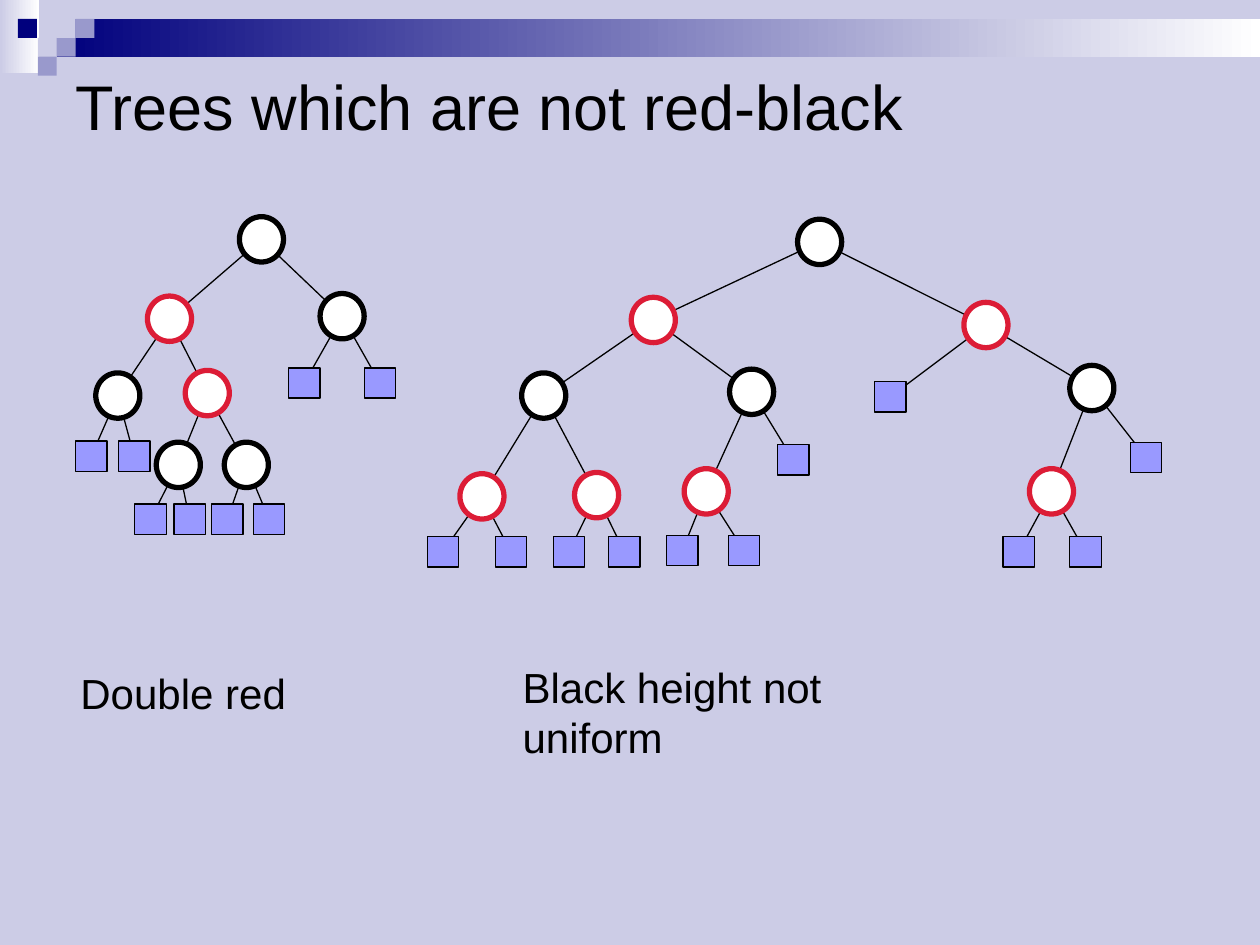
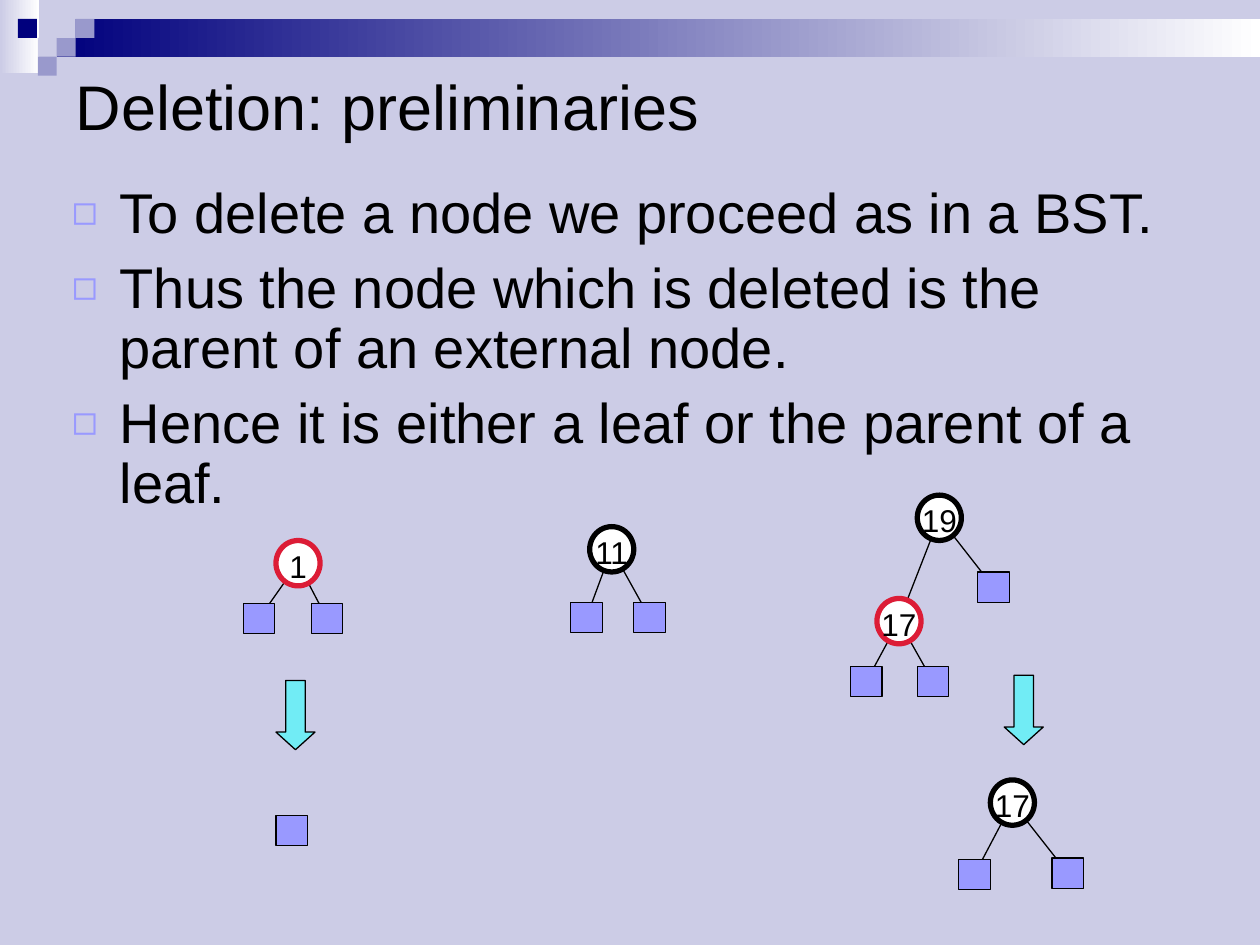
from dataclasses import dataclass
from lxml import etree
from pptx import Presentation
from pptx import util as u
from pptx.dml import color
from pptx.enum import shapes, text
from pptx.oxml import ns

HUES = {
    "back": "CCCCE6", "navy": "00007D", "mid": "9999CC", "white": "FFFFFF",
    "black": "000000", "red": "DC1C36", "leaf": "9999FF", "arrow": "71ECF5",
}
FONT = "Arial"
COLS, ROWS = 100, 75
STEP = 1.5
TILES = [
    (3, 0, "back"), (4, 0, "back"), (4, 1, "mid"), (2, 2, "back"),
    (0.95, 1, "navy"), (3, 2, "mid"), (2, 3, "mid"), (3, 1, "back"),
]


@dataclass
class Node:
    """A tree node, centred on a grid point."""
    kind: str
    x: float
    y: float
    kids: tuple = ()
    tag: str = ""


def black(x, y, *kids, tag=""):
    """Make a black node."""
    return Node("black", x, y, kids, tag)


def red(x, y, *kids, tag=""):
    """Make a red node."""
    return Node("red", x, y, kids, tag)


def leaf(x, y):
    """Make an external node."""
    return Node("leaf", x, y)


def pair(y, left, right):
    """Make two external nodes on one row."""
    return leaf(left, y), leaf(right, y)


def walk(node):
    """Yield a node and all nodes below it."""
    yield node
    for kid in node.kids:
        yield from walk(kid)


class Deck:
    """Holds the style and the current slide."""

    def __init__(self):
        """Start the file and paint its background."""
        self.prs = Presentation()
        self.prs.slide_width, self.prs.slide_height = u.Inches(10), u.Inches(7.5)
        self.page = None
        back = self.prs.slide_master.background.fill
        back.solid()
        back.fore_color.rgb = self.hue("back")

    def hue(self, name):
        """Look up a colour."""
        return color.RGBColor.from_string(HUES[name])

    def grid(self, x, y):
        """Turn columns and rows into lengths."""
        return (u.Emu(round(self.prs.slide_width * x / COLS)),
                u.Emu(round(self.prs.slide_height * y / ROWS)))

    def place(self, item, x, y, w, h):
        """Put an item on the grid."""
        item.left, item.top = self.grid(x, y)
        item.width, item.height = self.grid(w, h)

    def font(self, para, size):
        """Set the font of a paragraph."""
        para.font.name, para.font.size = FONT, u.Pt(size)
        para.font.color.rgb = self.hue("black")

    def slide(self, title, layout=5):
        """Add a slide with its band and title."""
        self.page = self.prs.slides.add_slide(self.prs.slide_layouts[layout])
        self.fade(0, 0, 3.1, 5.8, "back")
        self.fade(3 * STEP, STEP, COLS - 3 * STEP, 2 * STEP, "navy")
        for col, row, fill in TILES:
            self.shape("RECTANGLE", col * STEP, row * STEP, STEP, STEP, fill)
        head = self.page.shapes.title
        self.place(head, 5, 5, 90, 6.7)
        head.text_frame.text = title
        head.text_frame.auto_size = text.MSO_AUTO_SIZE.NONE
        head.text_frame.vertical_anchor = text.MSO_ANCHOR.MIDDLE
        para = head.text_frame.paragraphs[0]
        para.alignment = text.PP_ALIGN.LEFT
        self.font(para, 36)

    def shape(self, kind, x, y, w, h, fill, line=None, width=0.75):
        """Add a preset shape with a plain fill."""
        form = self.page.shapes.add_shape(
            shapes.MSO_SHAPE[kind], *self.grid(x, y), *self.grid(w, h))
        form.shadow.inherit = False
        form.fill.solid()
        form.fill.fore_color.rgb = self.hue(fill)
        if line:
            form.line.color.rgb = self.hue(line)
            form.line.width = u.Pt(width)
        else:
            form.line.fill.background()
        return form

    def fade(self, x, y, w, h, start):
        """Add a bar that fades to white."""
        bar = self.shape("RECTANGLE", x, y, w, h, start)
        bar.fill.gradient()
        bar.fill.gradient_angle = 0
        for stop, name, spot in zip(bar.fill.gradient_stops, (start, "white"), (0, 1)):
            stop.color.rgb = self.hue(name)
            stop.position = spot

    def edge(self, top, low):
        """Join two nodes with a line."""
        link = self.page.shapes.add_connector(
            shapes.MSO_CONNECTOR.STRAIGHT,
            *self.grid(top.x, top.y), *self.grid(low.x, low.y))
        link.line.color.rgb = self.hue("black")
        link.line.width = u.Pt(0.75)
        etree.SubElement(link._element.spPr, ns.qn("a:effectLst"))

    def node(self, node):
        """Draw one node with its tag."""
        if node.kind == "leaf":
            self.shape("RECTANGLE", node.x - 1.25, node.y - 1.2, 2.5, 2.4, "leaf", "black")
            return
        ring = self.shape("OVAL", node.x - 1.75, node.y - 1.8, 3.5, 3.6,
                          "white", node.kind, 3)
        if node.tag:
            frame = ring.text_frame
            frame.word_wrap = False
            frame.margin_left = frame.margin_right = frame.margin_bottom = 0
            frame.margin_top = u.Inches(0.04)
            frame.vertical_anchor = text.MSO_ANCHOR.MIDDLE
            frame.text = node.tag
            frame.paragraphs[0].alignment = text.PP_ALIGN.CENTER
            self.font(frame.paragraphs[0], 18)

    def tree(self, root):
        """Draw a tree, lines below nodes."""
        nodes = list(walk(root))
        for top in nodes:
            for low in top.kids:
                self.edge(top, low)
        for item in nodes:
            self.node(item)

    def note(self, words, x, y, w):
        """Add a one-line caption."""
        box = self.page.shapes.add_textbox(*self.grid(x, y), *self.grid(w, 5))
        box.text_frame.word_wrap = False
        box.text_frame.text = words
        self.font(box.text_frame.paragraphs[0], 24)

    def arrow(self, x, y):
        """Add a block arrow that points down."""
        form = self.shape("DOWN_ARROW", x, y, 3.1, 5.5, "arrow", "black")
        form.adjustments[0], form.adjustments[1] = 0.5, 0.45

    def points(self, lines, x, y, w, h):
        """Fill the body with bulleted lines."""
        body = self.page.placeholders[1]
        self.place(body, x, y, w, h)
        frame = body.text_frame
        frame.text = "\n".join(lines)
        frame.auto_size = text.MSO_AUTO_SIZE.NONE
        for rank, para in enumerate(frame.paragraphs):
            para.line_spacing = 0.9
            para.space_before = u.Pt(8 if rank else 0)
            props = para._p.get_or_add_pPr()
            props.set("marL", str(u.Inches(0.38)))
            props.set("indent", str(-u.Inches(0.38)))
            tint = etree.SubElement(props, ns.qn("a:buClr"))
            etree.SubElement(tint, ns.qn("a:srgbClr"), val=HUES["leaf"])
            etree.SubElement(props, ns.qn("a:buSzPct"), val="75000")
            etree.SubElement(props, ns.qn("a:buChar"), char="◻")
            self.font(para, 32)


def faults(deck):
    """Build the slide of trees that break the rules."""
    deck.slide("Trees which are not red-black")
    deck.tree(black(
        20.75, 19,
        red(13.45, 25.3,
            black(9.35, 31.4, *pair(36.2, 7.25, 10.65)),
            red(16.45, 31.2,
                black(14.15, 36.9, *pair(41.2, 11.95, 15.05)),
                black(19.55, 36.9, *pair(41.2, 18.05, 21.35)))),
        black(27.15, 25.1, *pair(30.4, 24.15, 30.15))))
    deck.tree(black(
        65.05, 19.2,
        red(51.85, 25.4,
            black(43.15, 31.4,
                  red(38.25, 39.4, *pair(43.8, 35.15, 40.55)),
                  red(47.35, 39.3, *pair(43.8, 45.15, 49.55))),
            black(59.65, 31.1,
                  red(56.05, 39, *pair(43.7, 54.15, 59.05)),
                  leaf(62.95, 36.5))),
        red(78.25, 25.8,
            leaf(70.65, 31.5),
            black(86.65, 30.8,
                  red(83.45, 39, *pair(43.8, 80.85, 86.15)),
                  leaf(90.95, 36.3)))))
    deck.note("Double red", 5.4, 52.5, 18.3)
    deck.note("Black height not uniform", 40.5, 52, 37.7)


def removal(deck):
    """Build the slide on deletion."""
    deck.slide("Deletion: preliminaries", layout=1)
    deck.points([
        "To delete a node we proceed as in a BST.",
        "Thus the node which is deleted is the parent of an external node.",
        "Hence it is either a leaf or the parent of a leaf.",
    ], 4.7, 14.2, 90, 29.4)
    deck.tree(red(23.65, 44.7, *pair(49.1, 20.55, 25.95), tag="1"))
    deck.tree(black(48.55, 43.6, *pair(49, 46.55, 51.55), tag="11"))
    deck.tree(black(
        74.55, 41.1,
        red(71.35, 49.3, *pair(54.1, 68.75, 74.05), tag="17"),
        leaf(78.85, 46.6), tag="19"))
    deck.arrow(21.9, 54)
    deck.arrow(79.7, 53.6)
    deck.tree(leaf(23.15, 65.9))
    deck.tree(black(80.35, 63.7, leaf(77.35, 69.4), leaf(84.75, 69.3), tag="17"))


def main():
    """Build and save the deck."""
    deck = Deck()
    faults(deck)
    removal(deck)
    deck.prs.save("out.pptx")


if __name__ == "__main__":
    main()
